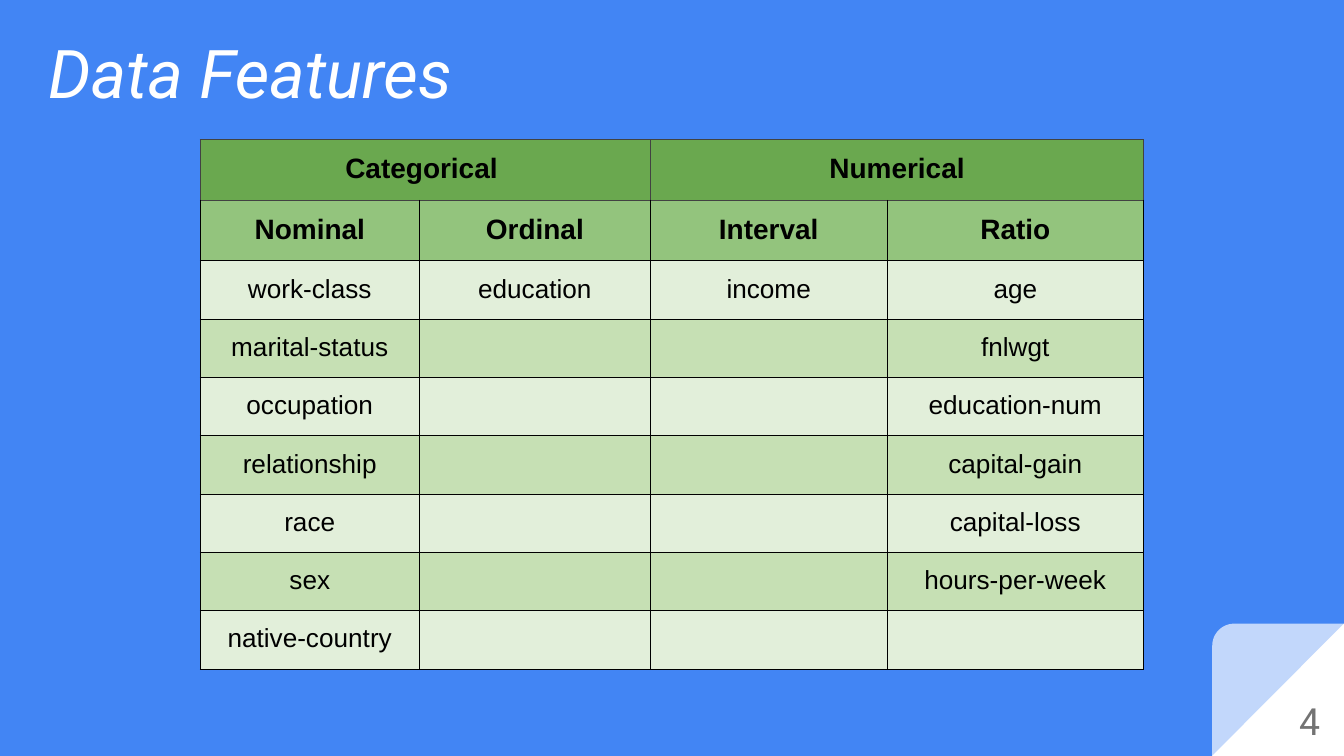
from dataclasses import dataclass
from lxml import etree
from pptx import Presentation
from pptx import util as u
from pptx.dml.color import RGBColor
from pptx.enum import shapes, text
from pptx.oxml import ns


@dataclass(frozen=True)
class Theme:
    """Colours, type sizes and fonts of the deck."""
    back: str = "4285F4"
    white: str = "FFFFFF"
    black: str = "000000"
    muted: str = "737373"
    group: str = "6AA84F"
    group_line: str = "424242"
    head: str = "93C47D"
    bands: tuple = ("E2EFDA", "C6E0B4")
    display: str = "Roboto"
    body: str = "Arial"
    title_size: float = 36
    number_size: float = 20
    head_size: float = 15
    cell_size: float = 14


T = Theme()
W = u.Inches(10)
H = u.Emu(W * 9 // 16)
INSET = u.Inches(0.1)
GROUPS = ["Categorical ", "Numerical"]
HEADS = ["Nominal", "Ordinal", "Interval", "Ratio"]
FEATURES = [
    ["work-class", "marital-status", "occupation", "relationship", "race", "sex", "native-country"],
    ["education"],
    ["income"],
    ["age", "fnlwgt", "education-num", "capital-gain", "capital-loss", "hours-per-week"],
]
COLUMNS = [16.3, 17.2, 17.6, 19.1]
ROWS = [2, 4] + [3.5] * 7


def rgb(color):
    """Turn a hex string into a colour."""
    return RGBColor.from_string(color)


def share(x, y, w, h):
    """Turn percentages of the slide into a box."""
    return tuple(int(v * side / 100) for v, side in zip((x, y, w, h), (W, H, W, H)))


def style(p, name, size, color, align, bold=False, italic=False):
    """Set the type and alignment of a paragraph."""
    p.alignment = align
    f = p.font
    f.name, f.size, f.bold, f.italic = name, u.Pt(size), bold, italic
    f.color.rgb = rgb(color)


def add_label(s, box, words, anchor, **look):
    """Add one line of text to the box."""
    tf = s.shapes.add_textbox(*box).text_frame
    tf.word_wrap = True
    tf.vertical_anchor = anchor
    tf.margin_left = tf.margin_right = tf.margin_top = tf.margin_bottom = INSET
    p = tf.paragraphs[0]
    p.text = words
    style(p, T.display, **look)


def add_corner(s, box, number):
    """Add the folded corner with the page number inside the box."""
    x, y, w, h = box
    for kind, alpha in ((shapes.MSO_SHAPE.RIGHT_TRIANGLE, 100),
                        (shapes.MSO_SHAPE.ROUND_1_RECTANGLE, 68)):
        sp = s.shapes.add_shape(kind, *box)
        sp.shadow.inherit = False
        sp.fill.solid()
        sp.fill.fore_color.rgb = rgb(T.white)
        sp.line.fill.background()
        sp.element.spPr.find(ns.qn("a:xfrm")).set("flipH", "1")
        if alpha < 100:
            color = sp.element.spPr.find(ns.qn("a:solidFill"))[0]
            etree.SubElement(color, ns.qn("a:alpha"), val=str(alpha * 1000))
    label = (x + int(w * 0.31), y + int(h * 0.51), int(w * 0.61), int(h * 0.44))
    add_label(s, label, number, text.MSO_ANCHOR.MIDDLE, size=T.number_size,
              color=T.muted, align=text.PP_ALIGN.RIGHT)


def set_borders(cell, lines):
    """Draw the cell borders given as side: (colour, width)."""
    tc_pr = cell._tc.get_or_add_tcPr()
    for i, side in enumerate("LRTB"):
        color, width = lines[side]
        ln = etree.Element(ns.qn(f"a:ln{side}"), w=str(u.Pt(width)))
        fill = etree.SubElement(ln, ns.qn("a:solidFill"))
        etree.SubElement(fill, ns.qn("a:srgbClr"), val=color)
        tc_pr.insert(i, ln)


def fill_cell(cell, words, row):
    """Style one table cell by its row and write its words."""
    fill = (T.group, T.head)[row] if row < 2 else T.bands[row % 2]
    cell.fill.solid()
    cell.fill.fore_color.rgb = rgb(fill)
    lines = dict.fromkeys("LRTB", (T.black, 0.6))
    if row == 0:
        lines = dict.fromkeys("LRT", (T.group_line, 0.75)) | {"B": (T.group_line, 0.6)}
    elif row == 1:
        lines["T"] = (T.group_line, 0.6)
    set_borders(cell, lines)
    p = cell.text_frame.paragraphs[0]
    if words:
        cell.margin_left = cell.margin_right = cell.margin_top = cell.margin_bottom = INSET
        p.text = words
    style(p, T.body, T.head_size if row < 2 else T.cell_size, T.black,
          text.PP_ALIGN.CENTER, bold=row < 2)


def add_features(s, box):
    """Add the table of features, whose rows grow to fit their text."""
    frame = s.shapes.add_table(len(ROWS), len(COLUMNS), *box)
    table = frame.table
    table.first_row = table.horz_banding = False
    for column, part in zip(table.columns, COLUMNS):
        column.width = int(W * part / 100)
    for row, part in zip(table.rows, ROWS):
        row.height = int(H * part / 100)
    for c, (head, names) in enumerate(zip(HEADS, FEATURES)):
        group = GROUPS[c // 2] if c % 2 == 0 else ""
        words = [group, head] + names
        for r in range(len(ROWS)):
            fill_cell(table.cell(r, c), words[r] if r < len(words) else "", r)
    for c in range(0, len(COLUMNS), 2):
        table.cell(0, c).merge(table.cell(0, c + 1))
    frame.width, frame.height = box[2:]


def add_table_slide(prs):
    """Add the slide with title, feature table and page corner."""
    s = prs.slides.add_slide(prs.slide_layouts[6])
    s.background.fill.solid()
    s.background.fill.fore_color.rgb = rgb(T.back)
    add_corner(s, share(90.2, 82.5, 9.8, 17.5), "4")
    add_label(s, share(2.6, 2.3, 49.5, 14.8), "Data Features", text.MSO_ANCHOR.TOP,
              size=T.title_size, color=T.white, align=text.PP_ALIGN.LEFT, italic=True)
    add_features(s, share(14.9, 18.5, 32.8, 58.3))


def main():
    """Build and save the deck."""
    prs = Presentation()
    prs.slide_width, prs.slide_height = W, H
    add_table_slide(prs)
    prs.save("out.pptx")


if __name__ == "__main__":
    main()
